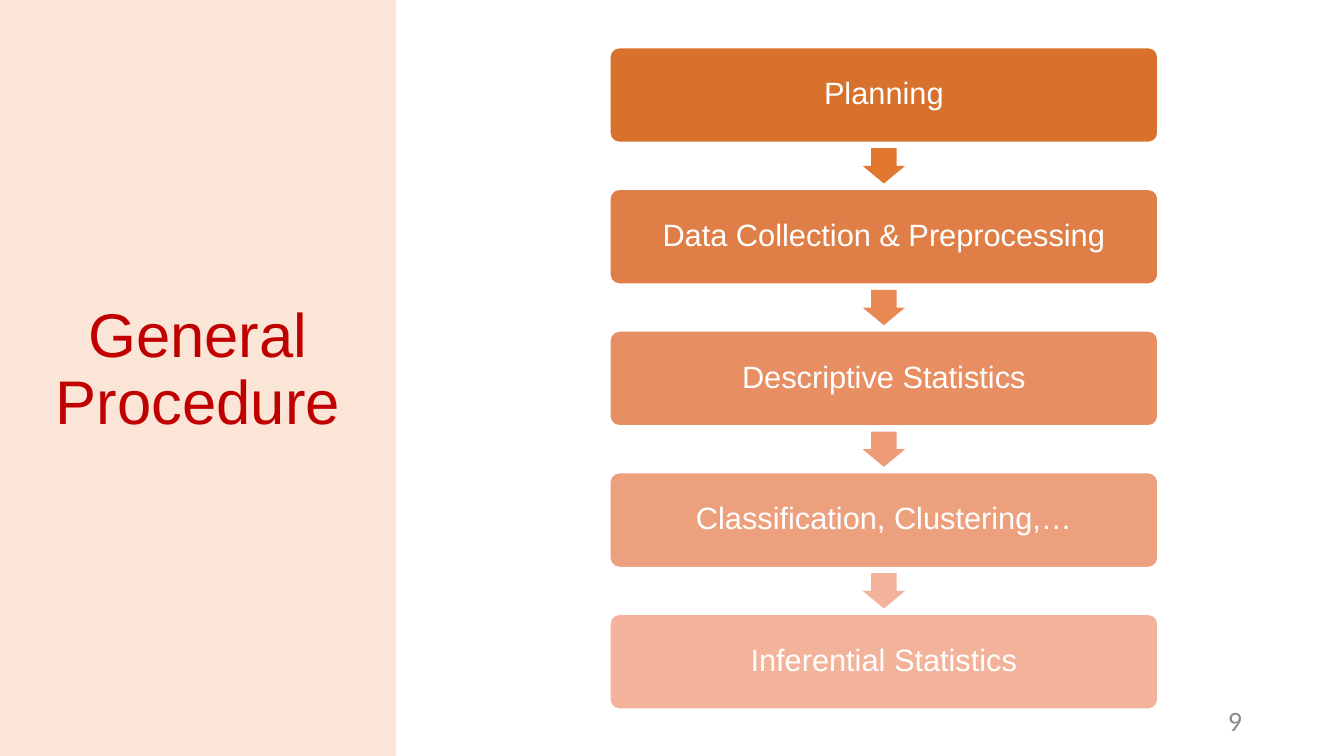
"""Builds the "General Procedure" slide: a title panel beside five linked steps."""
import pptx
import pptx.dml.color
import pptx.enum.shapes
import pptx.enum.text
import pptx.util

Cm = pptx.util.Cm
Pt = pptx.util.Pt
RGBColor = pptx.dml.color.RGBColor
SHAPE = pptx.enum.shapes.MSO_SHAPE
ALIGN = pptx.enum.text.PP_ALIGN
ANCHOR = pptx.enum.text.MSO_ANCHOR

WHITE = RGBColor(0xFF, 0xFF, 0xFF)
PANEL = RGBColor(0xFB, 0xE5, 0xD6)
TITLE_RED = RGBColor(0xC0, 0x00, 0x00)
NUMBER_GRAY = RGBColor(0x8C, 0x8C, 0x8C)
STEPS = [
    ("Planning", RGBColor(0xD7, 0x71, 0x2C)),
    ("Data Collection & Preprocessing", RGBColor(0xDF, 0x7F, 0x47)),
    ("Descriptive Statistics", RGBColor(0xE7, 0x8F, 0x62)),
    ("Classification, Clustering,…", RGBColor(0xED, 0xA0, 0x7E)),
    ("Inferential Statistics", RGBColor(0xF3, 0xB3, 0x9B)),
]
ARROW_COLORS = [
    RGBColor(0xE2, 0x77, 0x2F),
    RGBColor(0xE8, 0x88, 0x52),
    RGBColor(0xEE, 0x9C, 0x76),
    RGBColor(0xF3, 0xB2, 0x9A),
]

PANEL_WIDTH = Cm(9.98)
STEP_LEFT, STEP_TOP = Cm(15.37), Cm(1.2)
STEP_WIDTH, STEP_HEIGHT = Cm(13.81), Cm(2.39)
STEP_PITCH = Cm(3.57)
ARROW_WIDTH, ARROW_HEIGHT = Cm(1.07), Cm(0.89)


def add_filled_shape(kind, left, top, width, height, color):
    shape = slide.shapes.add_shape(kind, left, top, width, height)
    shape.shadow.inherit = False
    shape.fill.solid()
    shape.fill.fore_color.rgb = color
    shape.line.fill.background()
    return shape


def write_text(shape, text, font_name, size, color, alignment, anchor, line_spacing):
    frame = shape.text_frame
    frame.word_wrap = True
    frame.vertical_anchor = anchor
    frame.text = text
    paragraph = frame.paragraphs[0]
    paragraph.alignment = alignment
    paragraph.line_spacing = line_spacing
    font = paragraph.runs[0].font
    font.name = font_name
    font.size = Pt(size)
    font.color.rgb = color


presentation = pptx.Presentation()
presentation.slide_width = Cm(33.87)
presentation.slide_height = Cm(19.05)
slide = presentation.slides.add_slide(presentation.slide_layouts[6])

add_filled_shape(SHAPE.RECTANGLE, 0, 0, PANEL_WIDTH, presentation.slide_height, PANEL)

slide_number = slide.shapes.add_textbox(Cm(23.93), Cm(17.65), Cm(7.62), Cm(1.02))
write_text(slide_number, "9", "Calibri", 20, NUMBER_GRAY, ALIGN.RIGHT, ANCHOR.MIDDLE, 1.0)

title = slide.shapes.add_textbox(0, Cm(7.9), PANEL_WIDTH, Cm(3.25))
write_text(title, "General Procedure", "Arial", 44, TITLE_RED, ALIGN.CENTER, ANCHOR.BOTTOM, 0.9)

for index, (label, color) in enumerate(STEPS):
    step = add_filled_shape(SHAPE.ROUNDED_RECTANGLE, STEP_LEFT, STEP_TOP + index * STEP_PITCH,
                            STEP_WIDTH, STEP_HEIGHT, color)
    step.adjustments[0] = 0.1
    step.line.color.rgb = WHITE
    step.line.width = Pt(1)
    write_text(step, label, "Arial", 22, WHITE, ALIGN.CENTER, ANCHOR.MIDDLE, 0.9)

arrow_left = STEP_LEFT + (STEP_WIDTH - ARROW_WIDTH) // 2
arrow_top = STEP_TOP + (STEP_PITCH + STEP_HEIGHT - ARROW_HEIGHT) // 2
for index, color in enumerate(ARROW_COLORS):
    arrow = add_filled_shape(SHAPE.DOWN_ARROW, arrow_left, arrow_top + index * STEP_PITCH,
                             ARROW_WIDTH, ARROW_HEIGHT, color)
    arrow.adjustments[0] = 0.6
    arrow.adjustments[1] = 0.5

presentation.save("out.pptx")
